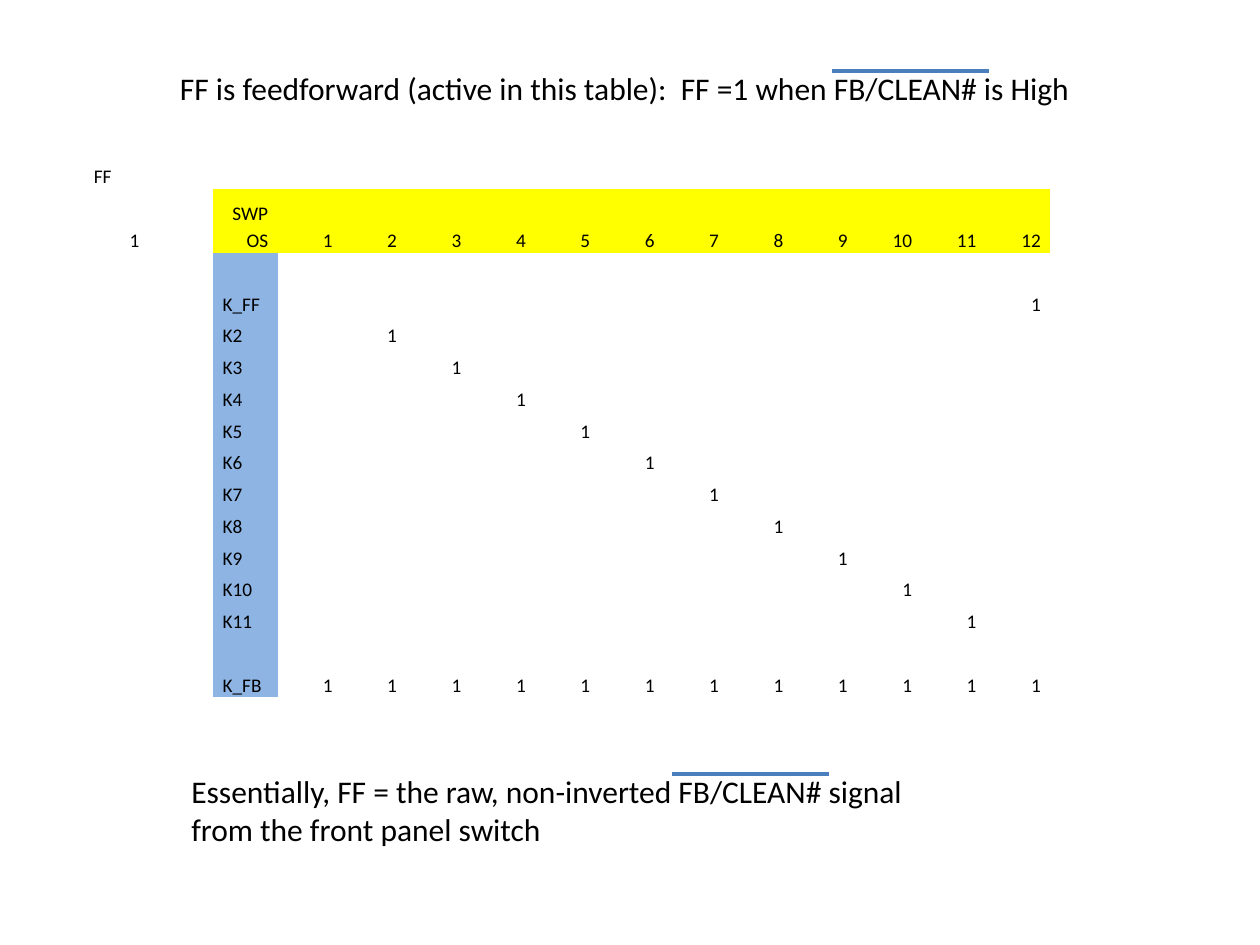
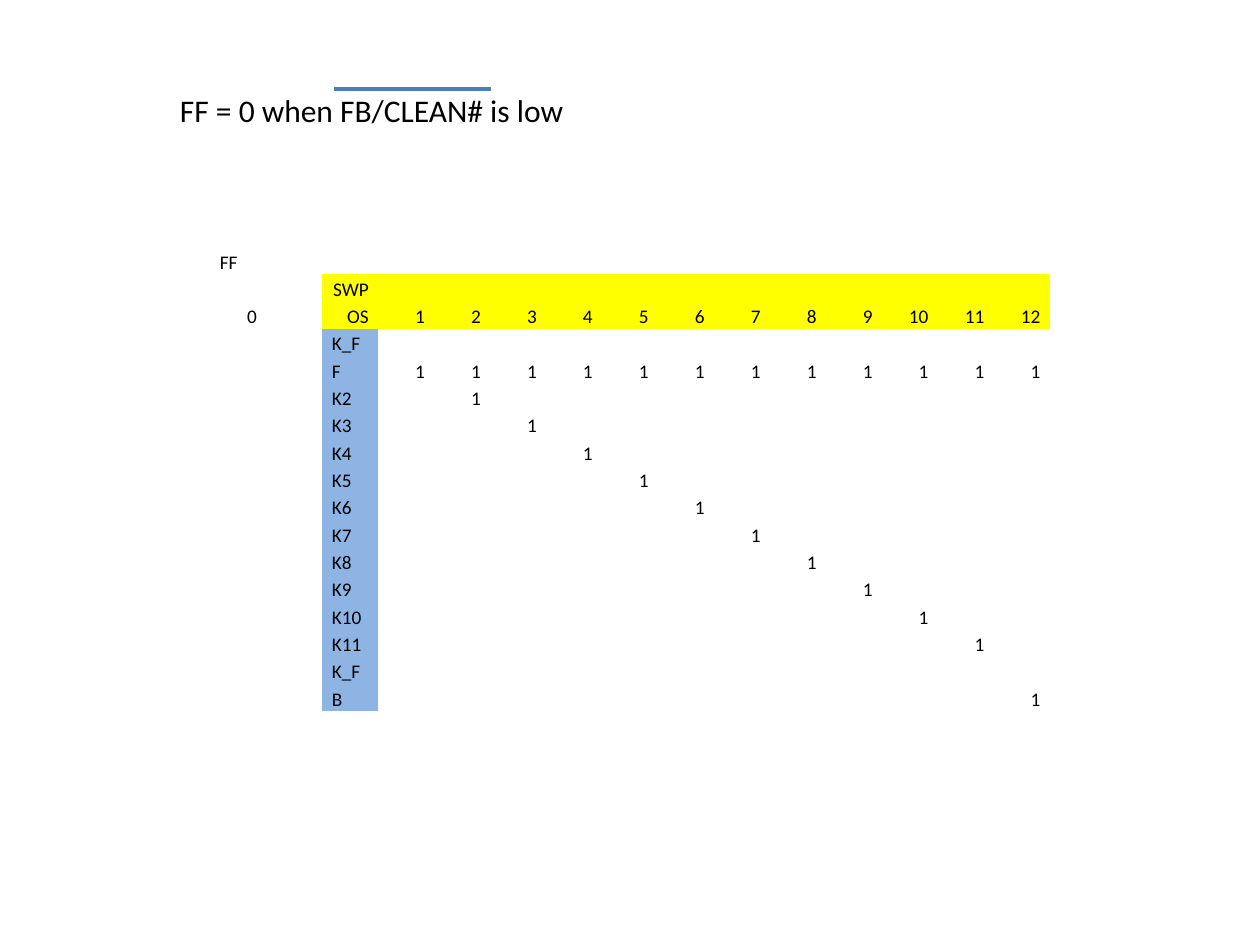
from lxml import etree
from pptx import Presentation
from pptx.dml.color import RGBColor
from pptx.enum import shapes, text
from pptx.oxml import ns
from pptx.util import Inches, Pt

BLACK = RGBColor(0x00, 0x00, 0x00)
YELLOW = RGBColor(0xFF, 0xFF, 0x00)
PALE = RGBColor(0x8D, 0xB4, 0xE3)
BLUE = RGBColor(0x4B, 0x7E, 0xBC)
FONT = "Calibri"
PLAIN = "{2D5ABB26-0587-4C30-8999-92F81FD0307C}"  # table style without grid

STEPS = 12
COLS = STEPS + 3
RELAYS = ["K_FF"] + [f"K{n}" for n in range(2, STEPS)] + ["K_FB"]
ROWS = len(RELAYS) + 2
WRAPPED = (1, 2, ROWS - 1)  # rows whose label takes two lines
UNITS = ROWS + len(WRAPPED)


def style(par, size):
    for run in par.runs:
        run.font.name = FONT
        run.font.size = Pt(size)
        run.font.color.rgb = BLACK


def add_note(slide, words, left, top, width, height):
    box = slide.shapes.add_textbox(
        Inches(left), Inches(top), Inches(width), Inches(height))
    frame = box.text_frame
    frame.word_wrap = True
    frame.auto_size = text.MSO_AUTO_SIZE.SHAPE_TO_FIT_TEXT
    frame.text = words
    style(frame.paragraphs[0], 18)


def add_bar(slide, left, top):
    """Overline that marks the inverted signal name."""
    bar = slide.shapes.add_connector(
        shapes.MSO_CONNECTOR.STRAIGHT, Inches(left), Inches(top),
        Inches(left + 1.25), Inches(top))
    bar.line.color.rgb = BLUE
    bar.line.width = Pt(2.25)
    etree.SubElement(bar._element.spPr, ns.qn("a:effectLst"))


def fill_cell(cell, words, right, color):
    cell.margin_left = cell.margin_right = Inches(0.3 / 4)
    cell.margin_top = cell.margin_bottom = 0
    cell.vertical_anchor = text.MSO_ANCHOR.BOTTOM
    if color is None:
        cell.fill.background()
    else:
        cell.fill.solid()
        cell.fill.fore_color.rgb = color
    par = cell.text_frame.paragraphs[0]
    par.line_spacing = 1.15
    if words:
        par.text = words
        par.alignment = text.PP_ALIGN.RIGHT if right else text.PP_ALIGN.LEFT
        style(par, 11)
    else:
        # Empty cells keep the small size so that rows stay low
        etree.SubElement(par._p, ns.qn("a:endParaRPr"), sz="1100")


def switch_grid(state, full):
    """Table words: one relay per step, and the relay `full` at all steps."""
    steps = range(1, STEPS + 1)
    grid = [["FF"] + [""] * (COLS - 1),
            [state, "", "SWPOS"] + [str(n) for n in steps]]
    for pos, relay in enumerate(RELAYS, 1):
        if relay == full:
            marks = ["1"] * STEPS
        else:
            # The other end relay closes at the last step only
            on = STEPS if relay in ("K_FF", "K_FB") else pos
            marks = ["1" if n == on else "" for n in steps]
        grid.append(["", "", relay] + marks)
    return grid


def add_grid(slide, grid, left, top, width, height, tall):
    frame = slide.shapes.add_table(
        ROWS, COLS, Inches(left), Inches(top), Inches(width), Inches(height))
    table = frame.table
    table.first_row = table.horz_banding = False
    table._tbl.tblPr.find(ns.qn("a:tableStyleId")).text = PLAIN
    for col in table.columns:
        col.width = Inches(width / COLS)
    for r, row in enumerate(table.rows):
        row.height = Inches(height / UNITS * (tall if r in WRAPPED else 1))
        for c, cell in enumerate(row.cells):
            color = None
            if r == 1 and c >= 2:
                color = YELLOW
            elif r > 1 and c == 2:
                color = PALE
            label = r == 0 or (r > 1 and c == 2)
            fill_cell(cell, grid[r][c], not label, color)
    frame.height = Inches(height)


def main():
    deck = Presentation()
    deck.slide_width, deck.slide_height = Inches(10), Inches(7.5)
    blank = deck.slide_layouts[6]

    # Feedforward active
    slide = deck.slides.add_slide(blank)
    add_grid(slide, switch_grid("1", "K_FB"), 0.67, 1.25, 23 / 3, 4.29, 2)
    add_note(slide, "FF is feedforward (active in this table):  "
             "FF =1 when FB/CLEAN# is High", 1.33, 0.5, 7.92, 0.4)
    add_note(slide, "Essentially, FF = the raw, non-inverted FB/CLEAN# "
             "signal from the front panel switch", 1.42, 6.08, 6.17, 0.71)
    add_bar(slide, 5.33, 6.14)
    add_bar(slide, 6.6, 0.56)

    # Feedforward off
    slide = deck.slides.add_slide(blank)
    add_grid(slide, switch_grid("0", "K_FF"), 1.67, 1.96, 20 / 3, 3.58, 1)
    add_note(slide, "FF = 0 when FB/CLEAN# is low", 1.33, 0.67, 4.25, 0.4)
    add_bar(slide, 2.65, 0.71)

    deck.save("out.pptx")


if __name__ == "__main__":
    main()
